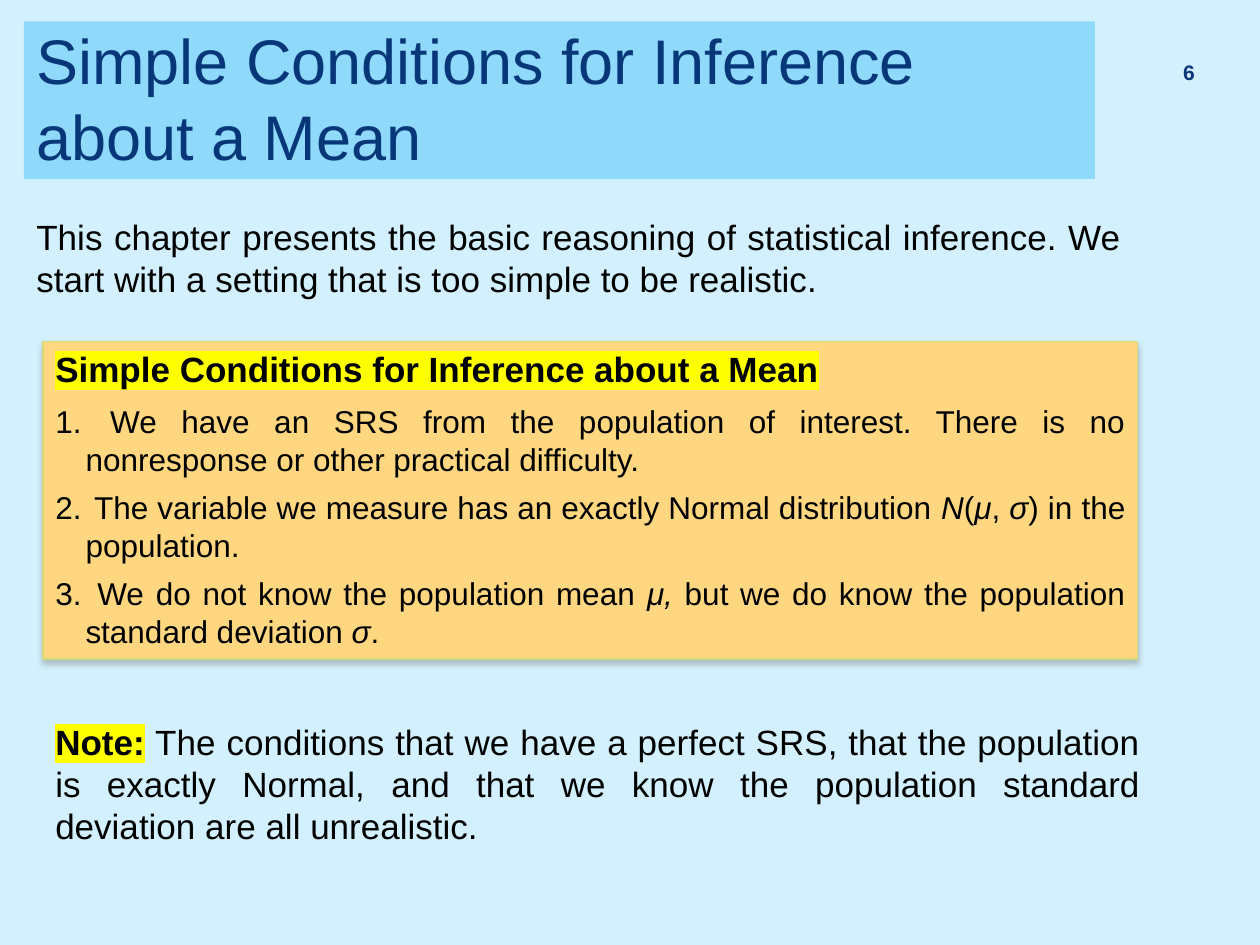
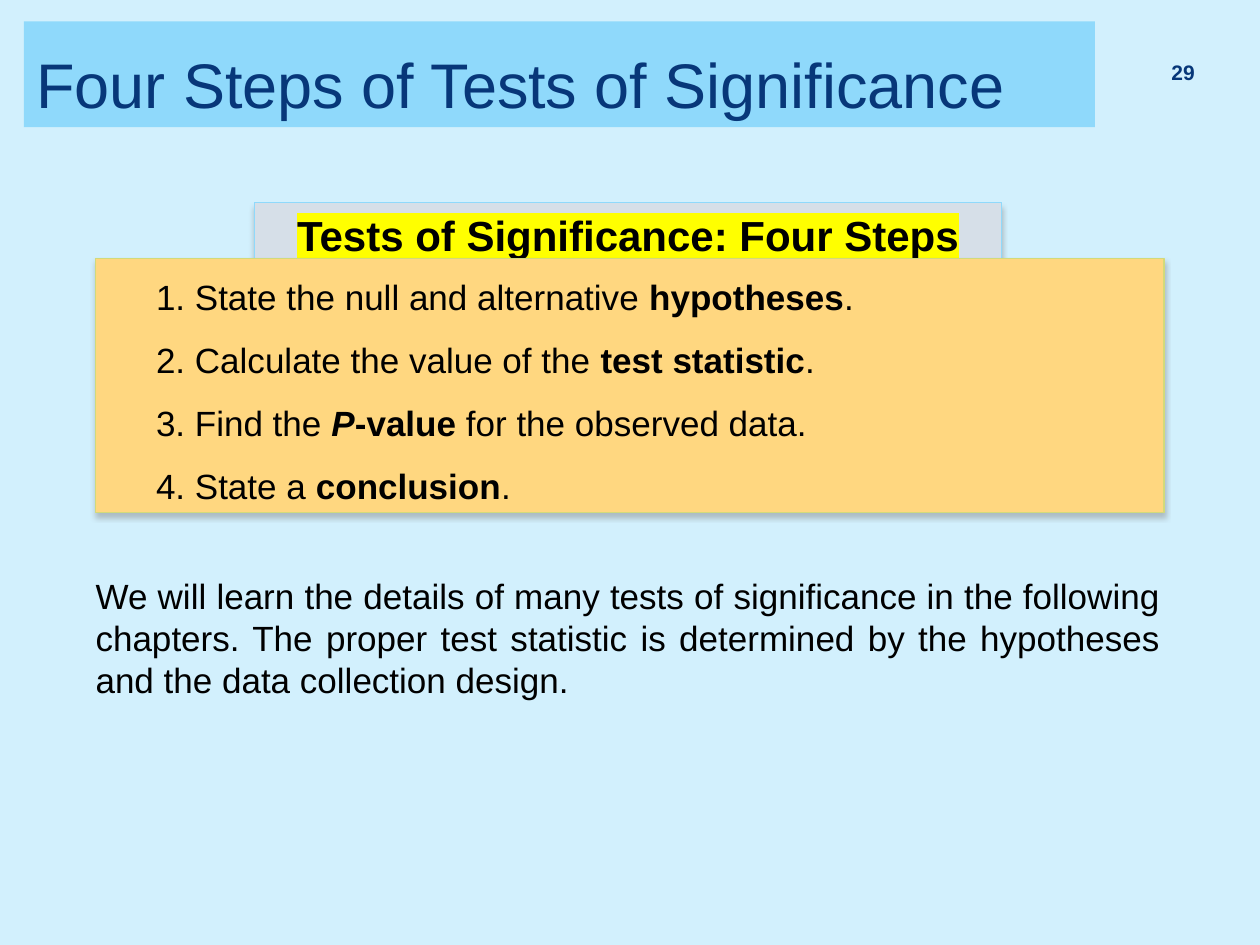
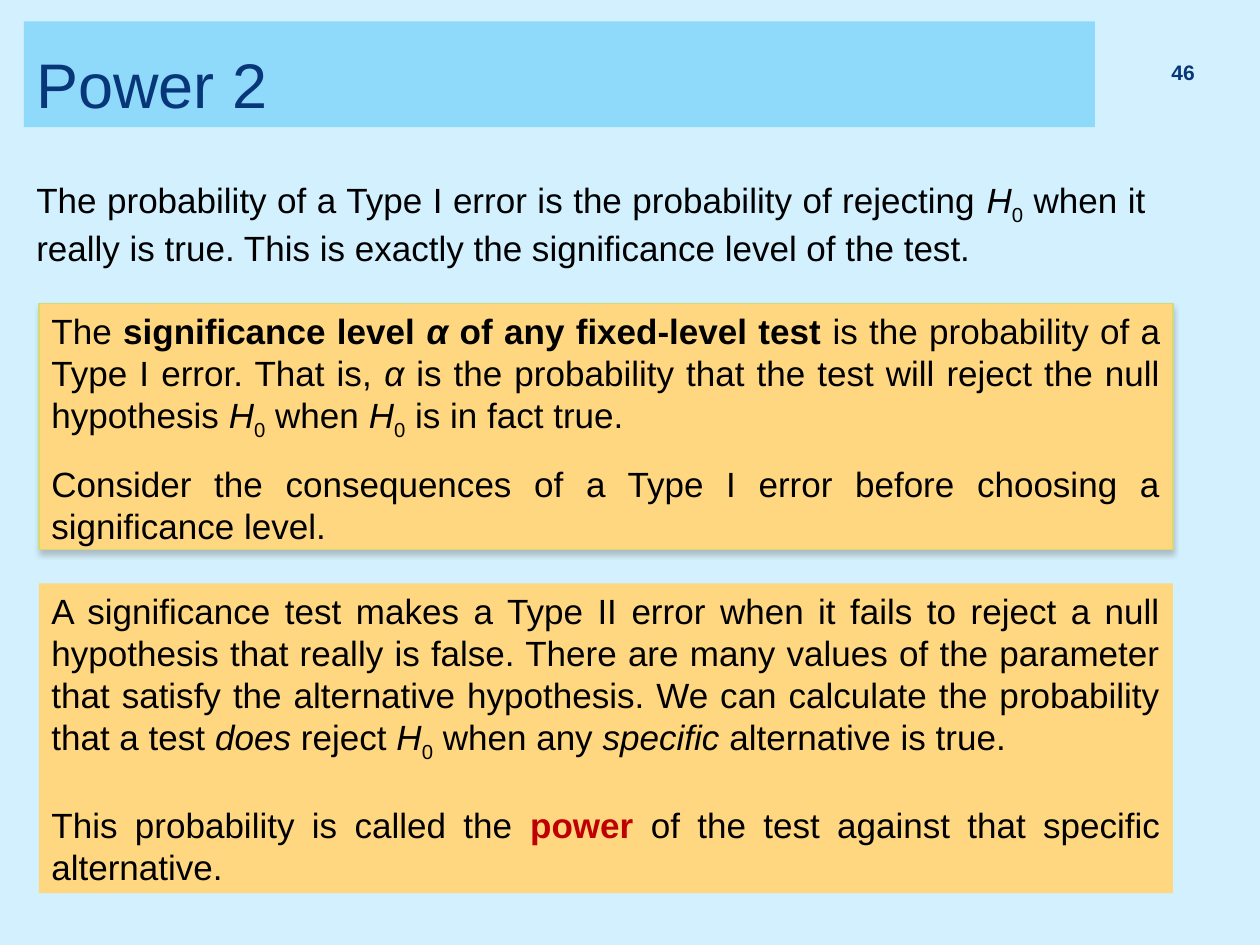
from lxml import etree
from pptx import Presentation
from pptx.dml.color import RGBColor
from pptx.enum.shapes import MSO_SHAPE
from pptx.enum.text import MSO_ANCHOR, PP_ALIGN
from pptx.oxml.ns import qn
from pptx.util import Inches, Pt

RECT = MSO_SHAPE.RECTANGLE
TOP, MIDDLE, BOTTOM = MSO_ANCHOR.TOP, MSO_ANCHOR.MIDDLE, MSO_ANCHOR.BOTTOM
LEFT, CENTER, RIGHT, JUSTIFY = PP_ALIGN.LEFT, PP_ALIGN.CENTER, PP_ALIGN.RIGHT, PP_ALIGN.JUSTIFY

PALE = RGBColor(0xD2, 0xF0, 0xFD)
SKY = RGBColor(0x8F, 0xD9, 0xFB)
NAVY = RGBColor(0x07, 0x37, 0x79)
GREY = RGBColor(0xD6, 0xDF, 0xE8)
AMBER = RGBColor(0xFF, 0xD7, 0x80)
OLIVE = RGBColor(0xD2, 0xDA, 0x7A)
BLACK = RGBColor(0, 0, 0)
RED = RGBColor(0xC0, 0, 0)
YELLOW = RGBColor(0xFF, 0xFF, 0)
SHADOW = RGBColor(0x80, 0x80, 0x80)

FONT = "Arial"
COLS, ROWS = 100, 75
WIDTH, HEIGHT = Inches(10), Inches(7.5)

BOLD = {"bold": True}
ITALIC = {"italic": True}
BOLD_ITALIC = {**BOLD, **ITALIC}
POWER = {**BOLD, "color": RED}
MARKED = {**BOLD, "highlight": YELLOW}
H0 = [("H", ITALIC), ("0", {"baseline": -25000})]


def place(box):
    x, y, w, h = box
    return [int(v) for v in (WIDTH * x / COLS, HEIGHT * y / ROWS,
                             WIDTH * w / COLS, HEIGHT * h / ROWS)]


def add_color(parent, tag, color):
    el = etree.SubElement(parent, qn(tag))
    return etree.SubElement(el, qn("a:srgbClr"), val=str(color))


def add_run(p, text, style):
    if text == "\n":
        p.add_line_break()
        return
    r = p.add_run()
    r.text = text
    fmt = {"name": FONT, "size": Pt(20), "color": BLACK, **style}
    highlight, baseline = fmt.pop("highlight", None), fmt.pop("baseline", None)
    r.font.color.rgb = fmt.pop("color")
    for key, value in fmt.items():
        setattr(r.font, key, value)
    rPr = r.font._element
    if baseline:
        rPr.set("baseline", str(baseline))
    if highlight:
        add_color(rPr, "a:highlight", highlight)
        rPr.find(qn("a:latin")).addprevious(rPr[-1])


def write(sp, paragraphs, anchor=TOP, base=None, **shared):
    tf = sp.text_frame
    tf.word_wrap = True
    tf.vertical_anchor = anchor
    for n, (runs, own) in enumerate(paragraphs):
        p = tf.paragraphs[0] if n == 0 else tf.add_paragraph()
        fmt = {"alignment": JUSTIFY, **shared, **own}
        indent, numbered = fmt.pop("indent", 0), fmt.pop("numbered", False)
        pPr = p._p.get_or_add_pPr()
        if indent:
            pPr.set("marL", str(Inches(indent)))
        if numbered:
            pPr.set("indent", str(-Inches(indent)))
            etree.SubElement(pPr, qn("a:buFont"), typeface="+mj-lt")
            etree.SubElement(pPr, qn("a:buAutoNum"), type="arabicPeriod")
        for key, value in fmt.items():
            setattr(p, key, value)
        for text, style in runs:
            add_run(p, text, {**(base or {}), **style})


def cast_shadow(sp):
    effects = sp._element.spPr.find(qn("a:effectLst"))
    outer = etree.SubElement(effects, qn("a:outerShdw"), blurRad=str(Pt(3)),
                             dist=str(Pt(2.4)), dir="5400000", rotWithShape="0")
    color = etree.SubElement(outer, qn("a:srgbClr"), val=str(SHADOW))
    etree.SubElement(color, qn("a:alpha"), val="45000")


def panel(s, box, paragraphs, fill=AMBER, line=None, **fmt):
    sp = s.shapes.add_shape(RECT, *place(box))
    sp.shadow.inherit = False
    sp.fill.solid()
    sp.fill.fore_color.rgb = fill
    if line:
        sp.line.color.rgb = line
        sp.line.width = Pt(0.79)
        cast_shadow(sp)
    else:
        sp.line.fill.background()
    write(sp, paragraphs, **fmt)


def text(s, box, paragraphs, **fmt):
    write(s.shapes.add_textbox(*place(box)), paragraphs, **fmt)


def new_slide(prs, title, number, title_rows=8.4):
    s = prs.slides.add_slide(prs.slide_layouts[6])
    panel(s, (1.9, 1.7, 85, title_rows), [(title, {})], fill=SKY, anchor=BOTTOM,
          alignment=LEFT, base={"size": Pt(36), "color": NAVY})
    text(s, (90.3, 3.9, 5.5, 4), [([(number, {})], {})], anchor=MIDDLE,
         alignment=RIGHT, line_spacing=0.8,
         base={"size": Pt(12), "color": NAVY, **BOLD})
    return s


def conditions_slide(prs):
    s = new_slide(prs, [("Simple Conditions for Inference", {}), ("\n", {}),
                        ("about a Mean", {})], "6", title_rows=12.5)
    text(s, (1.9, 16.6, 88.1, 8), [([
        ("This chapter presents the basic reasoning of statistical inference. "
         "We start with a setting that is too simple to be realistic.", {})], {})])
    conditions = [
        [(" We have an SRS from the population of interest. There is no "
          "nonresponse or other practical difficulty.", {})],
        [(" The variable we measure has an exactly Normal distribution ", {}),
         ("N", ITALIC), ("(", {}), ("μ", ITALIC), (", ", {}), ("σ", ITALIC),
         (") in the population.", {})],
        [(" We do not know the population mean ", {}), ("μ,", ITALIC),
         (" but we do know the population standard deviation ", {}),
         ("σ", ITALIC), (".", {})],
    ]
    item = {"indent": 0.24, "numbered": True, "space_after": Pt(6)}
    heading = [("Simple Conditions for Inference about a Mean",
                {**MARKED, "size": Pt(20)})]
    panel(s, (3.4, 27.1, 86.9, 25.2),
          [(heading, {"alignment": LEFT, "space_after": Pt(7)})]
          + [(runs, item) for runs in conditions],
          line=OLIVE, base={"size": Pt(18)})
    text(s, (3.4, 56.7, 88.1, 11.1), [([
        ("Note:", MARKED),
        (" The conditions that we have a perfect SRS, that the population is "
         "exactly Normal, and that we know the population standard deviation "
         "are all unrealistic.", {})], {})])


def steps_slide(prs):
    s = new_slide(prs, [("Four Steps of Tests of Significance", {})], "29")
    panel(s, (20.2, 16.1, 59.3, 5),
          [([("Tests of Significance: Four Steps", MARKED)], {})],
          fill=GREY, line=SKY, alignment=CENTER, base={"size": Pt(24)})
    steps = [
        [("1. State the null and alternative ", {}), ("hypotheses", BOLD), (".", {})],
        [("2. Calculate the value of the ", {}), ("test statistic", BOLD), (".", {})],
        [("3. Find the ", {}), ("P", BOLD_ITALIC), ("-value", BOLD),
         (" for the observed data.", {})],
        [("4. State a ", {}), ("conclusion", BOLD), (".", {})],
    ]
    panel(s, (7.6, 20.5, 84.8, 20.2), [(runs, {}) for runs in steps], line=OLIVE,
          anchor=BOTTOM, alignment=LEFT, indent=0.38, space_after=Pt(12))
    text(s, (6.6, 45.1, 86.5, 11.1), [([
        ("We will learn the details of many tests of significance in the "
         "following chapters. The proper test statistic is determined by the "
         "hypotheses and the data collection design.", {})], {})])


def power_slide(prs):
    s = new_slide(prs, [("Power 2", {})], "46")
    text(s, (1.9, 13.7, 90, 7.7), [([
        ("The probability of a Type I error is the probability of rejecting ", {}),
        *H0, (" when it really is true. This is exactly the significance level "
              "of the test.", {})], {})])
    level = [
        ("The ", {}), ("significance level ", BOLD), ("α", BOLD_ITALIC),
        (" of any fixed-level test ", BOLD),
        ("is the probability of a Type I error. That is, ", {}), ("α", ITALIC),
        (" is the probability that the test will reject the null hypothesis ", {}),
        *H0, (" when ", {}), *H0, (" is in fact true.", {})]
    advice = [("Consider the consequences of a Type I error before choosing a "
               "significance level.", {})]
    panel(s, (3.1, 24.1, 90, 19.5), [(level, {}), (advice, {})],
          line=OLIVE, space_after=Pt(12))
    type_two = [
        ("A significance test makes a Type II error when it fails to reject a "
         "null hypothesis that really is false. There are many values of the "
         "parameter that satisfy the alternative hypothesis. We can calculate "
         "the probability that a test ", {}), ("does", ITALIC), (" reject ", {}),
        *H0, (" when any ", {}), ("specific", ITALIC),
        (" alternative is true.", {})]
    power = [("This probability is called the ", {}), ("power ", POWER),
             ("of the test against that specific alternative.", {})]
    panel(s, (3.1, 46.3, 90, 24.6), [(type_two, {"space_after": Pt(23)}), (power, {})])


def main():
    prs = Presentation()
    prs.slide_width, prs.slide_height = WIDTH, HEIGHT
    fill = prs.slide_master.background.fill
    fill.solid()
    fill.fore_color.rgb = PALE
    conditions_slide(prs)
    steps_slide(prs)
    power_slide(prs)
    prs.save("out.pptx")


if __name__ == "__main__":
    main()
